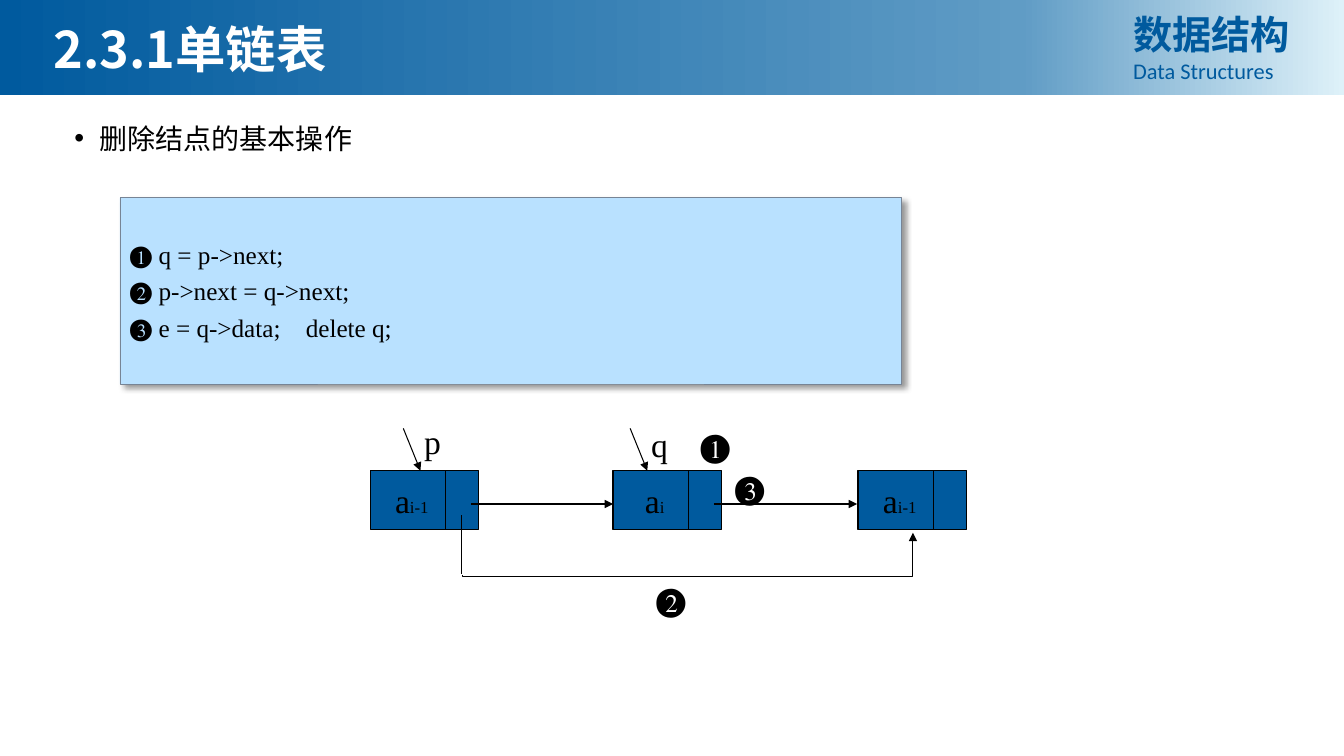
from copy import deepcopy

from pptx import Presentation
from pptx.dml.color import RGBColor
from pptx.enum.shapes import MSO_CONNECTOR as Link, MSO_SHAPE as Preset
from pptx.enum.text import MSO_ANCHOR as Anchor, MSO_AUTO_SIZE as AutoSize, PP_ALIGN as Align
from pptx.oxml import parse_xml
from pptx.oxml.ns import nsdecls, qn
from pptx.util import Inches, Pt

TITLE = "2.3.1单链表"
COURSE = [("数据结构", dict(size=28, font="cjk", color="blue", bold=True)),
          ("Data Structures", dict(size=16, font="course", color="blue"))]
TOPIC = "删除结点的基本操作"
STEPS = ["❶ q = p->next;", "❷ p->next = q->next;", "❸ e = q->data;    delete q;"]
NODES = [(3.67, "i-1"), (6.08, "i"), (8.51, "i-1")]       # left edge, subscript
POINTERS = [("p", 4.00, 4.17), ("q", 6.25, 4.19)]         # name, arrow start, label top
NEXT_LINKS = [(4.67, 6.08), (7.08, 8.5)]                  # from x, to x
STEP_MARKS = [("❷", 6.39, 5.69), ("❶", 6.83, 4.17), ("❸", 7.17, 4.58)]

COLORS = {"blue": "005A9E", "mid": "609CC5", "pale": "DEF1F9", "code": "B9E1FF",
          "edge": "778495", "black": "000000", "white": "FFFFFF"}
FONTS = {"cjk": "Noto Sans CJK SC", "code": "Times New Roman", "course": "Calibri"}
BAND_STOPS = [(0, "blue"), (0.76, "mid"), (1, "pale")]
NODE_TOP, NODE_W, NODE_H, DATA_W = 4.67, 1.08, 0.58, 0.75
LINK_Y = 5.0

prs = Presentation()
prs.slide_width, prs.slide_height = Inches(13.33), Inches(7.5)
slide = prs.slides.add_slide(prs.slide_layouts[5])
shapes = slide.shapes


def rgb(name):
    return RGBColor.from_string(COLORS[name])


def add_run(paragraph, text, size=24, font="code", color="black", bold=False):
    run = paragraph.add_run()
    run.text = text
    style = {"name": FONTS[font], "size": Pt(size), "bold": bold}
    for key, value in style.items():
        setattr(run.font, key, value)
    run.font.color.rgb = rgb(color)
    run.font._element.append(
        parse_xml(f'<a:ea {nsdecls("a")} typeface="{FONTS[font]}"/>'))


def set_frame(shape, **formats):
    """Apply text frame settings, with the usual insets unless others are given."""
    frame = shape.text_frame
    defaults = {"auto_size": AutoSize.NONE, "word_wrap": True,
                "vertical_anchor": Anchor.TOP,
                "margin_left": Inches(0.1), "margin_right": Inches(0.1),
                "margin_top": Inches(0.05), "margin_bottom": Inches(0.05)}
    for key, value in {**defaults, **formats}.items():
        setattr(frame, key, value)
    return frame


def add_text(left, top, width, height, **formats):
    return set_frame(shapes.add_textbox(*map(Inches, (left, top, width, height))), **formats)


def add_box(parent, left, top, width, height, fill, edge, weight):
    box = parent.add_shape(Preset.RECTANGLE, *map(Inches, (left, top, width, height)))
    box.shadow.inherit = False
    box.fill.solid()
    box.fill.fore_color.rgb = rgb(fill)
    box.line.color.rgb = rgb(edge)
    box.line.width = Pt(weight)
    return box


def add_line(parent, start, end, arrow=False, kind=Link.STRAIGHT):
    line = parent.add_connector(kind, *map(Inches, (*start, *end)))
    line.line.color.rgb = rgb("black")
    line.line.width = Pt(0.75)
    if arrow:
        line.line._get_or_add_ln().append(
            parse_xml(f'<a:tailEnd {nsdecls("a")} type="triangle"/>'))
    line.element.spPr.append(parse_xml(f'<a:effectLst {nsdecls("a")}/>'))
    return line


def add_label(text, left, top, width, height, **formats):
    paragraph = add_text(left, top, width, height, word_wrap=False, **formats).paragraphs[0]
    paragraph.alignment = Align.CENTER
    add_run(paragraph, text)


def add_node(left, subscript):
    """Draw a list node: a data cell with its label, and a pointer cell."""
    node = shapes.add_group_shape().shapes
    box = add_box(node, left, NODE_TOP, NODE_W, NODE_H, "blue", "black", 0.75)
    frame = set_frame(box, vertical_anchor=Anchor.MIDDLE,
                      margin_right=Inches(NODE_W - DATA_W + 0.02))
    paragraph = frame.paragraphs[0]
    paragraph.alignment = Align.CENTER
    add_run(paragraph, "a")
    add_run(paragraph, subscript, size=12)
    divider = left + DATA_W
    add_line(node, (divider, NODE_TOP), (divider, NODE_TOP + NODE_H))


# Header band, behind the title
band = add_box(shapes, 0, 0, 13.33, 0.94, "blue", "blue", 0.75)
band.line.fill.background()
band.fill.gradient()
band.fill.gradient_angle = 0
stop_list = next(band.element.iter(qn("a:gsLst")))
stop_list.append(deepcopy(stop_list[-1]))
for stop, (position, color) in zip(band.fill.gradient_stops, BAND_STOPS):
    stop.position = position
    stop.color.rgb = rgb(color)

title = shapes.title
title.element.addprevious(band.element)
title.left, title.top, title.width, title.height = map(Inches, (0.43, 0.12, 8.63, 0.71))
heading = set_frame(title, vertical_anchor=Anchor.MIDDLE).paragraphs[0]
heading.alignment = Align.LEFT
add_run(heading, TITLE, size=36, font="cjk", color="white", bold=True)

course = add_text(11.14, 0.05, 1.91, 0.84, vertical_anchor=Anchor.MIDDLE)
for index, (text, style) in enumerate(COURSE):
    paragraph = course.add_paragraph() if index else course.paragraphs[0]
    paragraph.alignment = Align.JUSTIFY
    add_run(paragraph, text, **style)

# Topic bullet
topic = add_text(0.64, 1.19, 11.5, 4.76).paragraphs[0]
topic_format = topic._p.get_or_add_pPr()
topic_format.set("marL", str(Inches(0.25)))
topic_format.set("indent", str(Inches(-0.25)))
for bullet in ('buFont {} typeface="Arial"', 'buChar {} char="•"'):
    topic_format.append(parse_xml(f'<a:{bullet.format(nsdecls("a"))}/>'))
topic.line_spacing = 0.9
add_run(topic, TOPIC, size=20, font="cjk")

# Code box
code_box = add_box(shapes, 1.19, 1.96, 7.75, 1.85, "code", "edge", 0.25)
code_box.element.spPr.find(qn("a:effectLst")).append(parse_xml(
    f'<a:outerShdw {nsdecls("a")} blurRad="{Pt(4)}" dist="{Pt(4)}" dir="2700000" algn="tl" '
    f'rotWithShape="0"><a:srgbClr val="{COLORS["black"]}"><a:alpha val="40000"/>'
    '</a:srgbClr></a:outerShdw>'))
code = set_frame(code_box, vertical_anchor=Anchor.MIDDLE)
for index, step in enumerate(STEPS):
    paragraph = code.add_paragraph() if index else code.paragraphs[0]
    paragraph.alignment = Align.LEFT
    if index:
        paragraph.space_before = Pt(4.5)
    add_run(paragraph, step, size=18)

# Linked list
for left, subscript in NODES:
    add_node(left, subscript)
for start_x, end_x in NEXT_LINKS:
    add_line(shapes, (start_x, LINK_Y), (end_x, LINK_Y), arrow=True)
for name, start_x, label_top in POINTERS:
    add_label(name, start_x + 0.08, label_top, 0.42, 0.42, vertical_anchor=Anchor.MIDDLE)
    add_line(shapes, (start_x, 4.25), (start_x + 0.17, NODE_TOP), arrow=True)
for mark, left, top in STEP_MARKS:
    add_label(mark, left, top, 0.53, 0.5)

# Bypass from the first node to the third: a quarter-turned elbow
add_line(shapes, (4.58, 5.11), (4.58, 5.69))
bypass = add_line(shapes, (7.03, 7.73), (6.61, 3.26), arrow=True, kind=Link.ELBOW)
bypass.element.spPr.find(qn("a:xfrm")).set("rot", "5400000")
bypass_geometry = bypass.element.spPr.find(qn("a:prstGeom"))
bypass_geometry.get_or_add_avLst().append(
    parse_xml(f'<a:gd {nsdecls("a")} name="adj1" fmla="val -3300"/>'))

prs.save("out.pptx")
